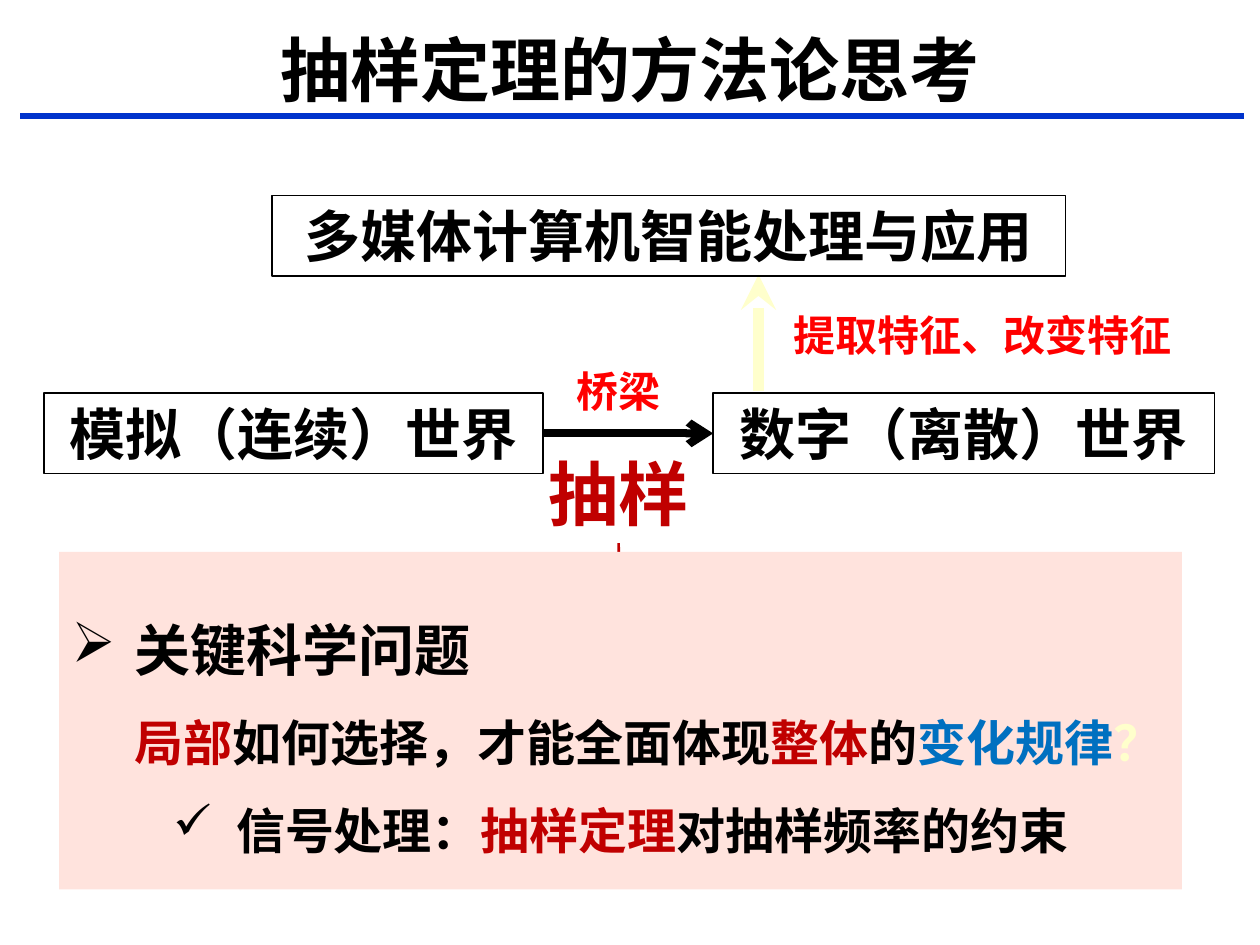
"""Build the slide on the methodology behind the sampling theorem."""
from lxml import etree
from pptx import Presentation
from pptx.dml.color import RGBColor
from pptx.enum.shapes import MSO_CONNECTOR, MSO_SHAPE
from pptx.enum.text import MSO_ANCHOR, PP_ALIGN
from pptx.oxml.ns import qn
from pptx.util import Inches, Pt

RECTANGLE, STRAIGHT = MSO_SHAPE.RECTANGLE, MSO_CONNECTOR.STRAIGHT
LEFT, CENTER = PP_ALIGN.LEFT, PP_ALIGN.CENTER
TOP, MIDDLE, BOTTOM = MSO_ANCHOR.TOP, MSO_ANCHOR.MIDDLE, MSO_ANCHOR.BOTTOM

SANS, SERIF = "Noto Sans CJK SC", "Times New Roman"
BLACK, RED, DARK_RED = "000000", "FF0000", "C00000"
BLUE, CREAM, PINK, RULE_BLUE = "0070C0", "FFFFCC", "FFE3DD", "0033CC"

TITLE = ("抽样定理的方法论思考", (0.75, 0.21, 8.5, 0.72))
WORLDS = [
    ("模拟（连续）世界", (0.35, 3.12, 3.96, 0.64)),
    ("数字（离散）世界", (5.66, 3.12, 3.98, 0.64)),
    ("多媒体计算机智能处理与应用", (2.16, 1.55, 6.3, 0.64)),
]
LABELS = [
    ("桥梁", (4.13, 2.85, 1.55, 0.51), 24, RED),
    ("提取特征、改变特征", (5.87, 2.41, 3.86, 0.51), 24, RED),
    ("抽样", (4.13, 3.53, 1.55, 0.77), 40, DARK_RED),
]
LINES = [
    ((0.16, 0.92, 9.87, 0.92), RULE_BLUE, 3, None),
    ((4.31, 3.44, 5.66, 3.44), BLACK, 4.5, "arrow"),
    ((6.02, 3.1, 6.02, 2.18), CREAM, 6.75, "stealth"),
    ((4.91, 4.31, 4.92, 5.25), DARK_RED, 1.5, "arrow"),
]
PANEL = (0.47, 4.38, 8.91, 2.68)
QUESTIONS = [
    ([("关键科学问题", BLACK)], 32, LEFT, "➢"),
    ([("局部", DARK_RED), ("如何选择，才能全面体现", BLACK), ("整体", DARK_RED),
      ("的", BLACK), ("变化规律", BLUE), ("？", CREAM)], 28, LEFT, None),
    ([("信号处理：", BLACK), ("抽样定理", DARK_RED), ("对抽样频率的约束", BLACK)],
     28, CENTER, "✓"),
]


def color(value):
    return RGBColor.from_string(value)


def write(para, spans, size, font=SANS, align=CENTER):
    para.alignment = align
    para.font.size, para.font.bold, para.font.name = Pt(size), True, font
    for text, shade in spans:
        span = para.add_run()
        span.text = text
        span.font.color.rgb = color(shade)


def indent(para, bullet):
    properties = para._p.get_or_add_pPr()
    properties.set("marL", str(Inches(0.5)))
    properties.set("indent", str(Inches(-0.5) if bullet else 0))
    if bullet:
        mark = etree.Element(qn("a:buChar"), char=bullet)
        properties.insert_element_before(mark, "a:tabLst", "a:defRPr", "a:extLst")


def add_label(page, text, place, size, shade=BLACK, font=SANS, anchor=TOP):
    box = page.shapes.add_textbox(*map(Inches, place))
    box.text_frame.word_wrap = True
    box.text_frame.vertical_anchor = anchor
    write(box.text_frame.paragraphs[0], [(text, shade)], size, font)


def add_rectangle(page, place, anchor):
    box = page.shapes.add_shape(RECTANGLE, *map(Inches, place))
    box.shadow.inherit = False
    box.text_frame.word_wrap = True
    box.text_frame.vertical_anchor = anchor
    return box


def add_world(page, text, place):
    box = add_rectangle(page, place, TOP)
    box.fill.background()
    box.line.color.rgb = color(BLACK)
    box.line.width = Pt(0.75)
    write(box.text_frame.paragraphs[0], [(text, BLACK)], 32)


def add_line(page, ends, shade, width, head):
    line = page.shapes.add_connector(STRAIGHT, *map(Inches, ends))
    line.line.color.rgb = color(shade)
    line.line.width = Pt(width)
    if head:
        etree.SubElement(line.line._get_or_add_ln(), qn("a:tailEnd"), type=head)
    etree.SubElement(line._element.spPr, qn("a:effectLst"))


def add_panel(page):
    panel = add_rectangle(page, PANEL, MIDDLE)
    panel.fill.solid()
    panel.fill.fore_color.rgb = color(PINK)
    panel.line.fill.background()
    frame = panel.text_frame
    for number, (spans, size, align, bullet) in enumerate(QUESTIONS):
        para = frame.add_paragraph() if number else frame.paragraphs[0]
        para.line_spacing = 1.5
        write(para, spans, size, SERIF, align)
        indent(para, bullet)


def main():
    deck = Presentation()
    deck.slide_width, deck.slide_height = Inches(10), Inches(7.5)
    page = deck.slides.add_slide(deck.slide_layouts[6])
    for line in LINES:
        add_line(page, *line)
    add_label(page, *TITLE, 40, font=SERIF, anchor=BOTTOM)
    for world in WORLDS:
        add_world(page, *world)
    for label in LABELS:
        add_label(page, *label)
    add_panel(page)
    deck.save("out.pptx")


if __name__ == "__main__":
    main()
